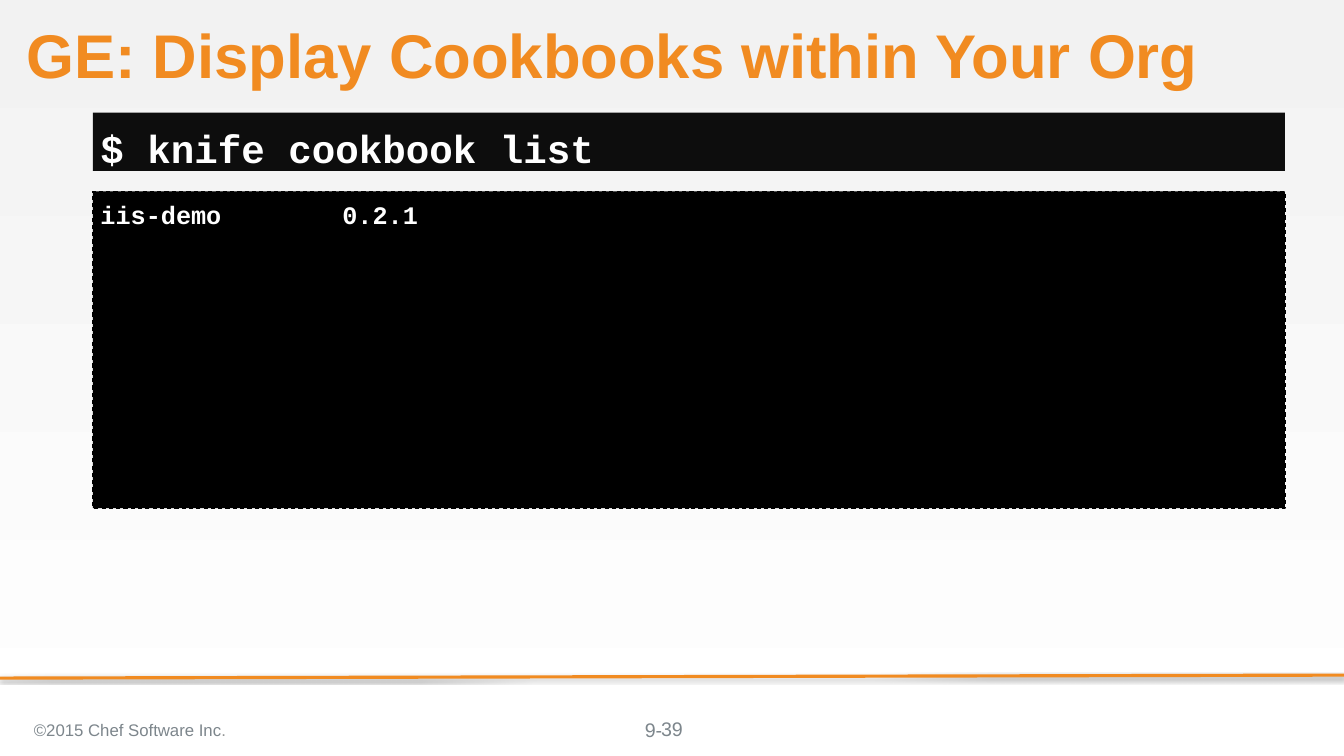
from dataclasses import dataclass

from lxml.etree import SubElement
from pptx import Presentation
from pptx.dml.color import RGBColor
from pptx.enum.dml import MSO_LINE
from pptx.enum.shapes import MSO_CONNECTOR, MSO_SHAPE
from pptx.enum.text import MSO_ANCHOR as Anchor, PP_ALIGN as Align
from pptx.oxml.ns import qn
from pptx.shapes.autoshape import Shape
from pptx.slide import Slide
from pptx.util import Inches, Pt

COLORS = {
    "orange": "F18B21",
    "black": "000000",
    "command": "0D0D0D",
    "white": "FFFFFF",
    "pale": "F2F2F2",
    "footer": "7D868C",
    "period": "929494",
}


@dataclass(frozen=True)
class Label:
    runs: tuple[tuple[str, str], ...]  # (text, color name)
    box: tuple[float, float, float, float]
    size: float
    font: str = "Arial"
    bold: bool = False
    align: Align = Align.LEFT
    anchor: Anchor = Anchor.TOP
    insets: tuple[float, float, float, float] = (0.1, 0.05, 0.1, 0.05)
    line_spacing: float = 1.0
    fill: str | None = None
    tab_stop: float | None = None


PANEL_LEFT, PANEL_WIDTH = 1.23, 15.77
NO_INSETS = (0, 0, 0, 0)

OUTPUT = Label((("iis-demo\t0.2.1", "white"),), (PANEL_LEFT, 2.53, PANEL_WIDTH, 4.19),
               24, "Courier New", True, insets=(0.1, 0.1, 0.1, 0.05),
               fill="black", tab_stop=3.2)
COMMAND = Label((("$ knife cookbook list", "white"),), (PANEL_LEFT, 1.49, PANEL_WIDTH, 0.77),
                37.3, "Courier New", True, anchor=Anchor.MIDDLE,
                insets=(0.1, 0.15, 0, 0), fill="command")
TITLE = Label((("GE: Display Cookbooks within Your Org", "orange"),), (0.35, 0.33, 17.42, 0.91),
              58.7, bold=True, insets=NO_INSETS, line_spacing=0.9)
FOOTERS = (
    Label((("9-", "footer"),), (8.49, 9.49, 0.8, 0.31), 18.7, insets=(0.04, 0, 0, 0)),
    Label((("©2015 Chef Software Inc", "footer"), (".", "period")),
          (0.35, 9.38, 6.21, 0.56), 16, anchor=Anchor.MIDDLE),
    Label((("39", "footer"),), (6.89, 9.38, 4, 0.53), 18.7,
          align=Align.CENTER, anchor=Anchor.MIDDLE),
)


def rgb(name: str) -> RGBColor:
    return RGBColor.from_string(COLORS[name])


def add_label(slide: Slide, label: Label) -> Shape:
    box = [Inches(length) for length in label.box]
    if label.fill:
        shape = slide.shapes.add_shape(MSO_SHAPE.RECTANGLE, *box)
        shape.shadow.inherit = False
        shape.fill.solid()
        shape.fill.fore_color.rgb = rgb(label.fill)
        shape.line.fill.background()
    else:
        shape = slide.shapes.add_textbox(*box)
    frame = shape.text_frame
    frame.word_wrap = True
    frame.vertical_anchor = label.anchor
    (frame.margin_left, frame.margin_top,
     frame.margin_right, frame.margin_bottom) = map(Inches, label.insets)

    paragraph = frame.paragraphs[0]
    paragraph.alignment = label.align
    paragraph.line_spacing = label.line_spacing
    if label.tab_stop:
        tabs = SubElement(paragraph._p.get_or_add_pPr(), qn("a:tabLst"))
        SubElement(tabs, qn("a:tab"), pos=str(Inches(label.tab_stop)), algn="l")
    paragraph.font.name = label.font
    paragraph.font.size = Pt(label.size)
    paragraph.font.bold = label.bold
    for text, color in label.runs:
        run = paragraph.add_run()
        run.text = text
        run.font.color.rgb = rgb(color)
    return shape


def add_footer_rule(slide: Slide) -> None:
    rule = slide.shapes.add_connector(
        MSO_CONNECTOR.STRAIGHT, Inches(17.78), Inches(8.93), Inches(0), Inches(8.97))
    rule.line.color.rgb = rgb("orange")
    rule.line.width = Pt(3)
    effects = SubElement(rule._element.spPr, qn("a:effectLst"))
    shadow = SubElement(effects, qn("a:outerShdw"), blurRad=str(Pt(3.1)),
                        dist=str(Pt(1.8)), dir="5400000", rotWithShape="0")
    color = SubElement(shadow, qn("a:srgbClr"), val=COLORS["black"])
    SubElement(color, qn("a:alpha"), val="35000")


def paint_background(slide: Slide) -> None:
    fill = slide.background.fill
    fill.gradient()
    fill.gradient_angle = 270
    for stop, name in zip(fill.gradient_stops, ("pale", "white")):
        stop.color.rgb = rgb(name)


def main() -> None:
    presentation = Presentation()
    presentation.slide_width = Inches(17.78)
    presentation.slide_height = Inches(10)
    slide = presentation.slides.add_slide(presentation.slide_layouts[6])
    paint_background(slide)
    add_footer_rule(slide)
    output_panel = add_label(slide, OUTPUT)
    output_panel.line.color.rgb = rgb("black")
    output_panel.line.width = Pt(1)
    output_panel.line.dash_style = MSO_LINE.DASH
    for label in (TITLE, COMMAND, *FOOTERS):
        add_label(slide, label)
    presentation.save("out.pptx")


if __name__ == "__main__":
    main()
